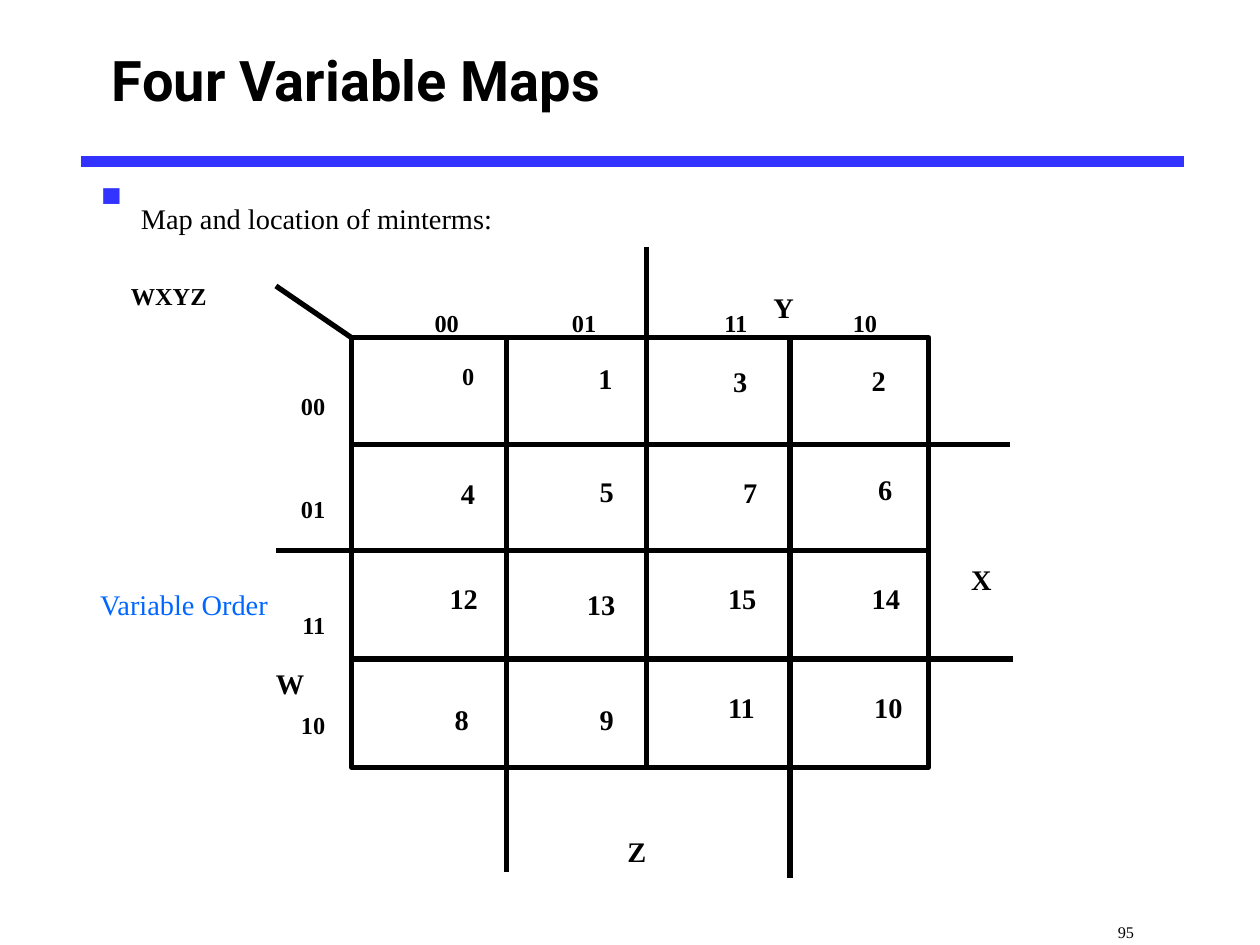
from lxml.etree import SubElement
from pptx import Presentation
from pptx.dml.color import RGBColor
from pptx.enum.shapes import MSO_CONNECTOR, MSO_SHAPE
from pptx.enum.text import MSO_ANCHOR, PP_ALIGN
from pptx.oxml.ns import qn
from pptx.util import Inches, Pt

COLORS = {"ink": "000000", "rule": "3333FF", "note": "0066FF"}
SERIF = "Times New Roman"

# Map edges: left, top, right, bottom
LEFT, TOP, RIGHT, BOTTOM = 2.79, 2.68, 7.37, 6.09
COLUMN_LINES = [(4.02, TOP, 6.92), (5.13, 1.96, BOTTOM), (6.27, TOP, 6.97)]  # x, from, to
ROW_LINES = [(3.53, LEFT, 8.02), (4.37, 2.19, RIGHT), (5.23, LEFT, 8.04)]  # y, from, to

# Text, left, top of each minterm, one map row per line
MINTERMS = [
    [("0", 3.57, 2.59), ("1", 4.65, 2.56), ("3", 5.72, 2.58), ("2", 6.82, 2.57)],
    [("4", 3.56, 3.47), ("5", 4.66, 3.45), ("7", 5.8, 3.46), ("6", 6.87, 3.44)],
    [("12", 3.47, 4.3), ("13", 4.56, 4.35), ("15", 5.68, 4.3), ("14", 6.82, 4.3)],
    [("8", 3.51, 5.26), ("9", 4.66, 5.26), ("11", 5.68, 5.17), ("10", 6.84, 5.17)],
]
VARIABLES = [("W", 2.09, 4.98), ("X", 7.61, 4.15), ("Y", 6.04, 1.99), ("Z", 4.88, 6.31)]
CODES = ["00", "01", "11", "10"]
CODE_LEFTS = [3.2, 4.29, 5.49, 6.52]
CODE_TOPS = [2.83, 3.65, 4.57, 5.36]

deck = Presentation()
deck.slide_width, deck.slide_height = Inches(10), Inches(7.5)
page = deck.slides.add_slide(deck.slide_layouts[6])


def add_text(text, left, top, width, height, size, bold=True, color="ink",
             align=PP_ALIGN.LEFT, font=SERIF, lowered=True, bullet=None):
    """Add a one-paragraph text box; lowered text is set as a subscript."""
    box = page.shapes.add_textbox(Inches(left), Inches(top), Inches(width), Inches(height))
    box.text_frame.word_wrap = True
    para = box.text_frame.paragraphs[0]
    para.alignment = align
    if bullet:
        props = para._p.get_or_add_pPr()
        props.set("marL", str(Inches(0.38)))
        props.set("indent", str(Inches(-0.38)))
        bullet_color = SubElement(props, qn("a:buClr"))
        SubElement(bullet_color, qn("a:srgbClr"), val=COLORS["rule"])
        SubElement(props, qn("a:buChar"), char=bullet)
    span = para.add_run()
    span.text = text
    para.font.name = font
    para.font.size = Pt(size)
    para.font.bold = bold
    para.font.color.rgb = RGBColor.from_string(COLORS[color])
    if lowered:
        span._r.get_or_add_rPr().set("baseline", "-25000")
    return box


def add_line(x1, y1, x2, y2, color="ink", width=3):
    line = page.shapes.add_connector(
        MSO_CONNECTOR.STRAIGHT, Inches(x1), Inches(y1), Inches(x2), Inches(y2))
    line.line.color.rgb = RGBColor.from_string(COLORS[color])
    line.line.width = Pt(width)
    SubElement(line._element.spPr, qn("a:effectLst"))


# Heading
add_line(0.64, 1.28, 9.4, 1.28, "rule", 6)
title = add_text("Four Variable Maps", 0.79, 0.07, 8.5, 1.12, 32, font="Roboto", lowered=False)
title.text_frame.vertical_anchor = MSO_ANCHOR.MIDDLE
add_text("Map and location of minterms:", 0.64, 1.29, 8.5, 5.5, 28, bold=False, bullet="▪")

# Map frame and lines
frame = page.shapes.add_shape(MSO_SHAPE.RECTANGLE, Inches(LEFT), Inches(TOP),
                              Inches(RIGHT - LEFT), Inches(BOTTOM - TOP))
frame.shadow.inherit = False
frame.fill.background()
frame.line.color.rgb = RGBColor.from_string(COLORS["ink"])
frame.line.width = Pt(3)
for x, start, end in COLUMN_LINES:
    add_line(x, start, x, end)
for y, start, end in ROW_LINES:
    add_line(start, y, end, y)
add_line(LEFT, TOP, 2.19, 2.27)

# Cells and labels
for row in MINTERMS:
    for text, left, top in row:
        add_text(text, left, top, 0.48 if len(text) == 1 else 0.73, 0.57,
                 24 if text == "0" else 28)
for text, left, top in VARIABLES:
    add_text(text, left, top, 0.59 if text == "W" else 0.48, 0.57, 28)
for code, left, top in zip(CODES, CODE_LEFTS, CODE_TOPS):
    add_text(code, left, 2.17, 0.54, 0.5, 24, align=PP_ALIGN.RIGHT)
    add_text(code, 2.14, top, 0.54, 0.5, 24, align=PP_ALIGN.RIGHT)
add_text("WXYZ", 0.94, 1.96, 1.25, 0.5, 24)
note = add_text("Variable Order", 0, 4.35, 2.92, 0.57, 28, bold=False, color="note",
                align=PP_ALIGN.CENTER)
note.text_frame.margin_left = note.text_frame.margin_right = 0

number = add_text("95", 7.9, 7.12, 2.1, 0.38, 16, bold=False, align=PP_ALIGN.RIGHT)
number.text_frame.margin_right = Inches(1)

deck.save("out.pptx")
